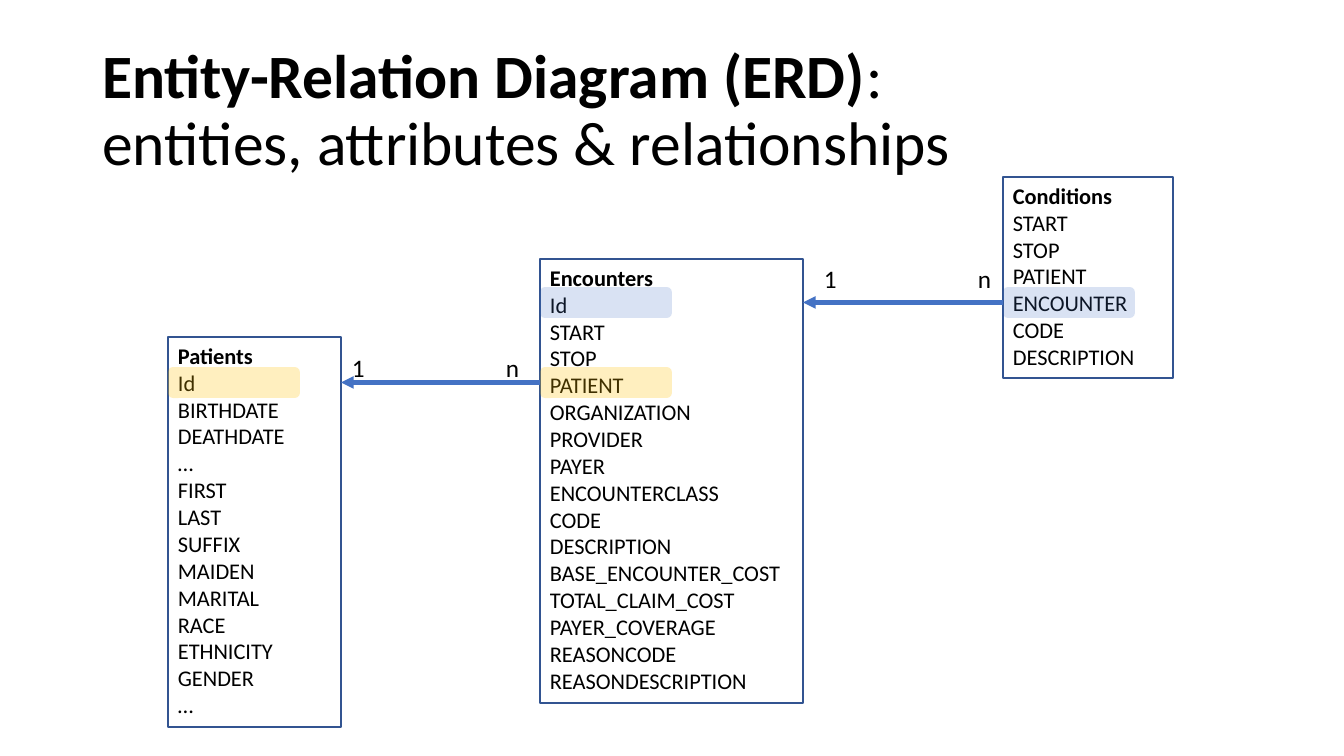
from lxml.etree import SubElement
from pptx import Presentation
from pptx.dml.color import RGBColor
from pptx.enum.shapes import MSO_CONNECTOR, MSO_SHAPE
from pptx.enum.text import MSO_ANCHOR, MSO_AUTO_SIZE, PP_ALIGN
from pptx.oxml.ns import qn
from pptx.util import Pt

TITLE = [[("Entity-Relation Diagram (ERD)", True), (":", False)],
         [("entities, attributes & relationships", False)]]
ENTITIES = {
    "Encounters": ((540, 259, 263, 444), [
        "Id", "START", "STOP", "PATIENT", "ORGANIZATION", "PROVIDER", "PAYER",
        "ENCOUNTERCLASS", "CODE", "DESCRIPTION", "BASE_ENCOUNTER_COST",
        "TOTAL_CLAIM_COST", "PAYER_COVERAGE", "REASONCODE", "REASONDESCRIPTION"]),
    "Conditions": ((1003, 177, 170, 201), [
        "START", "STOP", "PATIENT", "ENCOUNTER", "CODE", "DESCRIPTION"]),
    "Patients": ((168, 337, 173, 390), [
        "Id", "BIRTHDATE", "DEATHDATE", "…", "FIRST", "LAST", "SUFFIX", "MAIDEN",
        "MARITAL", "RACE", "ETHNICITY", "GENDER", "…"]),
}
RELATIONS = [
    ("Encounters", "Patients", 367, "gold", 25, (342, 347)),
    ("Conditions", "Encounters", 287, "blue", 20, (814, 258)),
]
COLORS = {"text": "000000", "border": "325491", "blue": "4472C4", "gold": "FFC000"}
FONT = "Calibri"
PX = 914400 / 100.8
KEY_W, KEY_H = 132, 31
LABEL_W, LABEL_H, LABEL_TAB = 302, 40, 154


def px(*values):
    return [round(v * PX) for v in values]


def rgb(name):
    return RGBColor.from_string(COLORS[name])


def style(r, size, bold=False):
    r.font.name, r.font.size, r.font.bold = FONT, Pt(size), bold
    r.font.color.rgb = rgb("text")


def add_entity(shapes, name, box, attributes):
    sp = shapes.add_shape(MSO_SHAPE.RECTANGLE, *px(*box))
    sp.shadow.inherit = False
    sp.fill.background()
    sp.line.color.rgb, sp.line.width = rgb("border"), Pt(1)
    tf = sp.text_frame
    tf.word_wrap = True
    tf.vertical_anchor = MSO_ANCHOR.TOP
    tf.text = "\n".join([name] + attributes)
    for i, p in enumerate(tf.paragraphs):
        p.alignment = PP_ALIGN.LEFT
        style(p.runs[0], 16, i == 0)


def add_key(shapes, left, top, color, alpha):
    sp = shapes.add_shape(MSO_SHAPE.ROUNDED_RECTANGLE, *px(left, top, KEY_W, KEY_H))
    sp.shadow.inherit = False
    sp.line.fill.background()
    sp.fill.solid()
    sp.fill.fore_color.rgb = rgb(color)
    clr = sp._element.spPr.find(qn("a:solidFill"))[0]
    SubElement(clr, qn("a:alpha"), val=str(alpha * 1000))
    return sp


def add_arrow(shapes, key, start, end, y):
    line = shapes.add_connector(MSO_CONNECTOR.STRAIGHT, *px(start, y, end, y))
    line.begin_connect(key, 1)
    line.line.color.rgb, line.line.width = rgb("blue"), Pt(3)
    SubElement(line.line._get_or_add_ln(), qn("a:tailEnd"), type="triangle")
    SubElement(line._element.spPr, qn("a:effectLst"))


def add_cardinality(shapes, left, top):
    tf = shapes.add_textbox(*px(left, top, LABEL_W, LABEL_H)).text_frame
    tf.word_wrap = True
    tf.auto_size = MSO_AUTO_SIZE.SHAPE_TO_FIT_TEXT
    p = tf.paragraphs[0]
    tabs = SubElement(p._p.get_or_add_pPr(), qn("a:tabLst"))
    SubElement(tabs, qn("a:tab"), pos=str(px(LABEL_TAB)[0]), algn="l")
    p.text = "1\tn"
    for r in p.runs:
        style(r, 18)


def main():
    prs = Presentation()
    prs.slide_width, prs.slide_height = px(1344, 756)
    slide = prs.slides.add_slide(prs.slide_layouts[5])
    shapes = slide.shapes

    title = shapes.title
    title.left, title.top, title.width, title.height = px(92, 39, 1159, 146)
    tf = title.text_frame
    tf.auto_size = MSO_AUTO_SIZE.NONE
    tf.vertical_anchor = MSO_ANCHOR.MIDDLE
    for i, runs in enumerate(TITLE):
        p = tf.add_paragraph() if i else tf.paragraphs[0]
        p.alignment, p.line_spacing = PP_ALIGN.LEFT, 0.9
        for text, bold in runs:
            r = p.add_run()
            r.text = text
            style(r, 44, bold)

    for name, (box, attributes) in ENTITIES.items():
        add_entity(shapes, name, box, attributes)

    for source, target, top, color, alpha, label in RELATIONS:
        source_left = ENTITIES[source][0][0]
        target_left, _, target_width, _ = ENTITIES[target][0]
        key = add_key(shapes, source_left, top, color, alpha)
        add_key(shapes, target_left, top, color, alpha)
        add_arrow(shapes, key, source_left, target_left + target_width, top + KEY_H / 2)
        add_cardinality(shapes, *label)

    prs.save("out.pptx")


if __name__ == "__main__":
    main()
